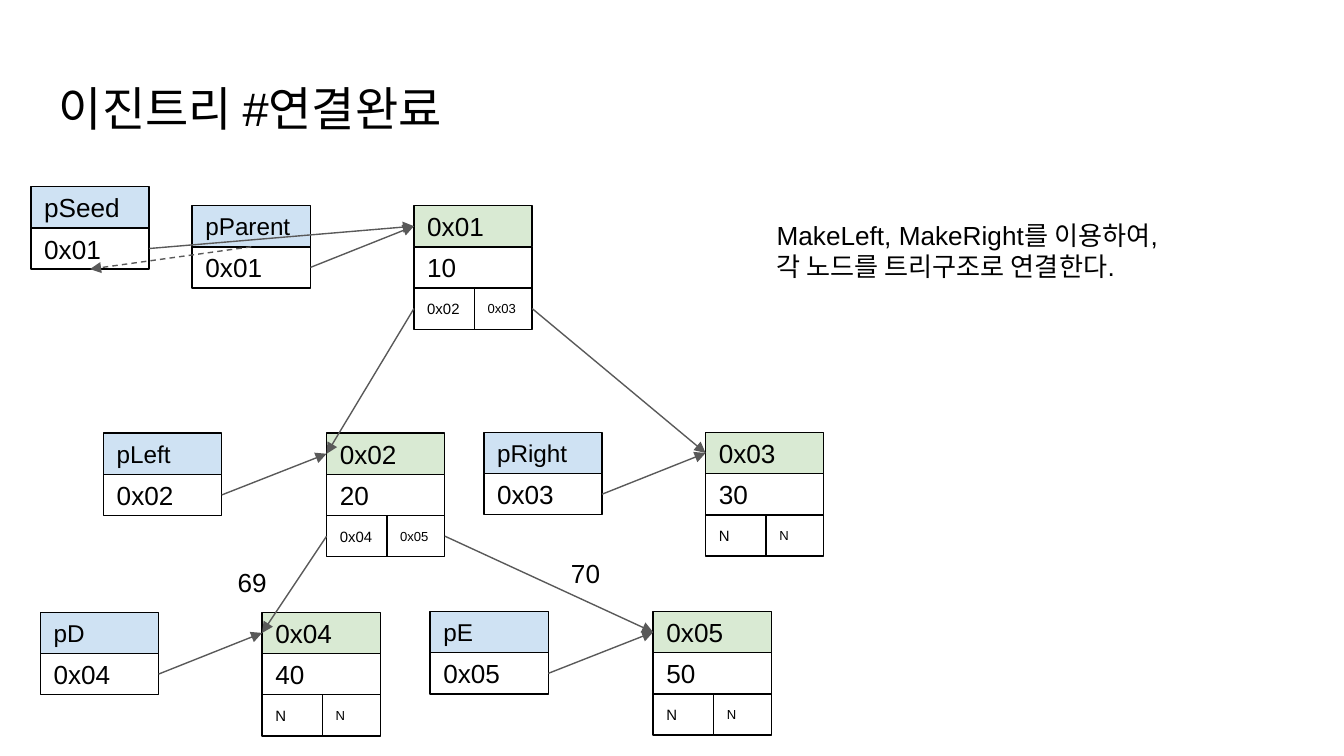
from dataclasses import dataclass
from lxml.etree import SubElement
from pptx import Presentation
from pptx.dml.color import RGBColor as RGB
from pptx.enum.dml import MSO_LINE as Dash
from pptx.enum.shapes import MSO_CONNECTOR as Conn, MSO_SHAPE as Shape
from pptx.enum.text import MSO_ANCHOR as Anchor, MSO_AUTO_SIZE as Auto, PP_ALIGN as Align
from pptx.oxml.ns import qn
from pptx.util import Inches, Pt


@dataclass(frozen=True)
class Theme:
    font: str = "Arial"
    ink: str = "000000"
    wire: str = "595959"
    name: str = "CFE2F3"
    head: str = "D9EAD3"
    cell: str = "FFFFFF"
    rule: float = 0.75
    title: float = 25.2
    body: float = 14
    label: float = 13
    left: float = 8
    right: float = 7


T = Theme()

# Places are percent of slide width and height.
CELL_W, CELL_H, LEFT_W = 8.8, 5.45, 4.5

TITLE = "이진트리 #연결완료"
NOTE = ["MakeLeft, MakeRight를 이용하여,", "각 노드를 트리구조로 연결한다."]
TEXTS = [  # lines, size, place, grows
    ([TITLE], T.title, (3.4, 8.7, 93.2, 11.2), False),
    (NOTE, T.body, (56.8, 27.2, 34.9, 11.9), True),
    (["69"], T.body, (16.7, 73.2, 4.5, 7.8), True),
    (["70"], T.body, (41.5, 72, 4.5, 7.8), True),
]
POINTERS = [  # name, size, address, x, y
    ("pSeed", T.body, "0x01", 2.3, 24.7),
    ("pParent", T.label, "0x01", 14.3, 27.2),
    ("pLeft", T.label, "0x02", 7.7, 57.3),
    ("pRight", T.label, "0x03", 36, 57.2),
    ("pD", T.label, "0x04", 3, 81),
    ("pE", T.label, "0x05", 32, 80.9),
]
NODES = [  # address, value, left child, right child, x, y
    ("0x01", "10", "0x02", "0x03", 30.8, 27.2),
    ("0x02", "20", "0x04", "0x05", 24.3, 57.3),
    ("0x03", "30", "N", "N", 52.5, 57.2),
    ("0x04", "40", "N", "N", 19.5, 81),
    ("0x05", "50", "N", "N", 48.6, 80.9),
]
TOP, LEFT, BOTTOM, RIGHT = range(4)

deck = Presentation()
deck.slide_width, deck.slide_height = Inches(10), Inches(5.625)
slide = deck.slides.add_slide(deck.slide_layouts[6])


def area(x, y, w, h):
    """Turn percent shares into slide lengths."""
    wide, high = deck.slide_width, deck.slide_height
    return [int(part * full / 100) for part, full in zip((x, y, w, h), (wide, high) * 2)]


def write(shape, lines, size):
    frame = shape.text_frame
    frame.word_wrap = True
    frame.margin_left = frame.margin_right = Inches(0.1)
    frame.margin_top = frame.margin_bottom = Inches(0.1)
    para = frame.paragraphs[0]
    para.alignment = Align.LEFT
    for i, line in enumerate(lines):
        if i:
            para.add_line_break()
        run = para.add_run()
        run.text = line
        run.font.name, run.font.size = T.font, Pt(size)
        run.font.color.rgb = RGB.from_string(T.ink)
    return frame


def add_cell(group, text, size, fill, x, y, w=CELL_W):
    box = group.shapes.add_shape(Shape.RECTANGLE, *area(x, y, w, CELL_H))
    box.shadow.inherit = False
    box.fill.solid()
    box.fill.fore_color.rgb = RGB.from_string(fill)
    box.line.color.rgb = RGB.from_string(T.ink)
    box.line.width = Pt(T.rule)
    write(box, [text], size).vertical_anchor = Anchor.MIDDLE
    return box


def link(start, side, end, site=LEFT, dashed=False):
    """Join two cells with an arrow."""
    wire = slide.shapes.add_connector(Conn.STRAIGHT, 0, 0, 0, 0)
    wire.begin_connect(start, side)
    wire.end_connect(end, site)
    wire.line.color.rgb = RGB.from_string(T.wire)
    wire.line.width = Pt(T.rule)
    if dashed:
        wire.line.dash_style = Dash.DASH
    SubElement(wire.line._get_or_add_ln(), qn("a:tailEnd"), type="triangle", w="med", len="med")
    SubElement(wire._element.spPr, qn("a:effectLst"))


for lines, size, place, grows in TEXTS:
    box = slide.shapes.add_textbox(*area(*place))
    frame = write(box, lines, size)
    frame.auto_size = Auto.SHAPE_TO_FIT_TEXT if grows else Auto.NONE

names, slots = {}, {}
for name, size, addr, x, y in POINTERS:
    group = slide.shapes.add_group_shape()
    names[name] = add_cell(group, name, size, T.name, x, y)
    slots[name] = add_cell(group, addr, T.body, T.cell, x, y + CELL_H)

heads, kids = {}, []
for addr, value, left, right, x, y in NODES:
    group = slide.shapes.add_group_shape()
    heads[addr] = add_cell(group, addr, T.body, T.head, x, y)
    add_cell(group, value, T.body, T.cell, x, y + CELL_H)
    low = y + 2 * CELL_H
    kids += [
        (add_cell(group, left, T.left, T.cell, x, low, LEFT_W), LEFT, left),
        (add_cell(group, right, T.right, T.cell, x + LEFT_W, low, CELL_W - LEFT_W), RIGHT, right),
    ]

for name, _, addr, *_ in POINTERS:
    link(slots[name], RIGHT, heads[addr])
for kid, side, addr in kids:
    if addr in heads:
        link(kid, side, heads[addr])
link(names["pParent"], BOTTOM, slots["pSeed"], BOTTOM, dashed=True)

deck.save("out.pptx")
